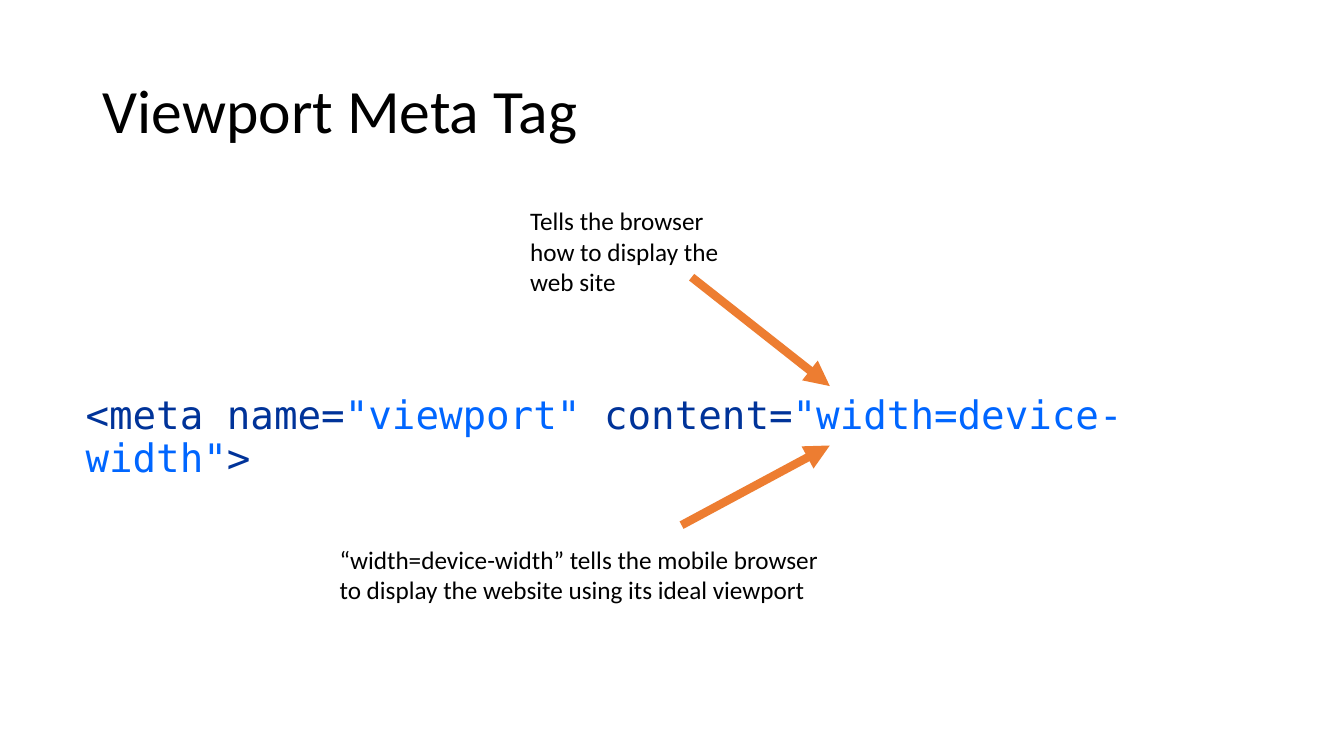
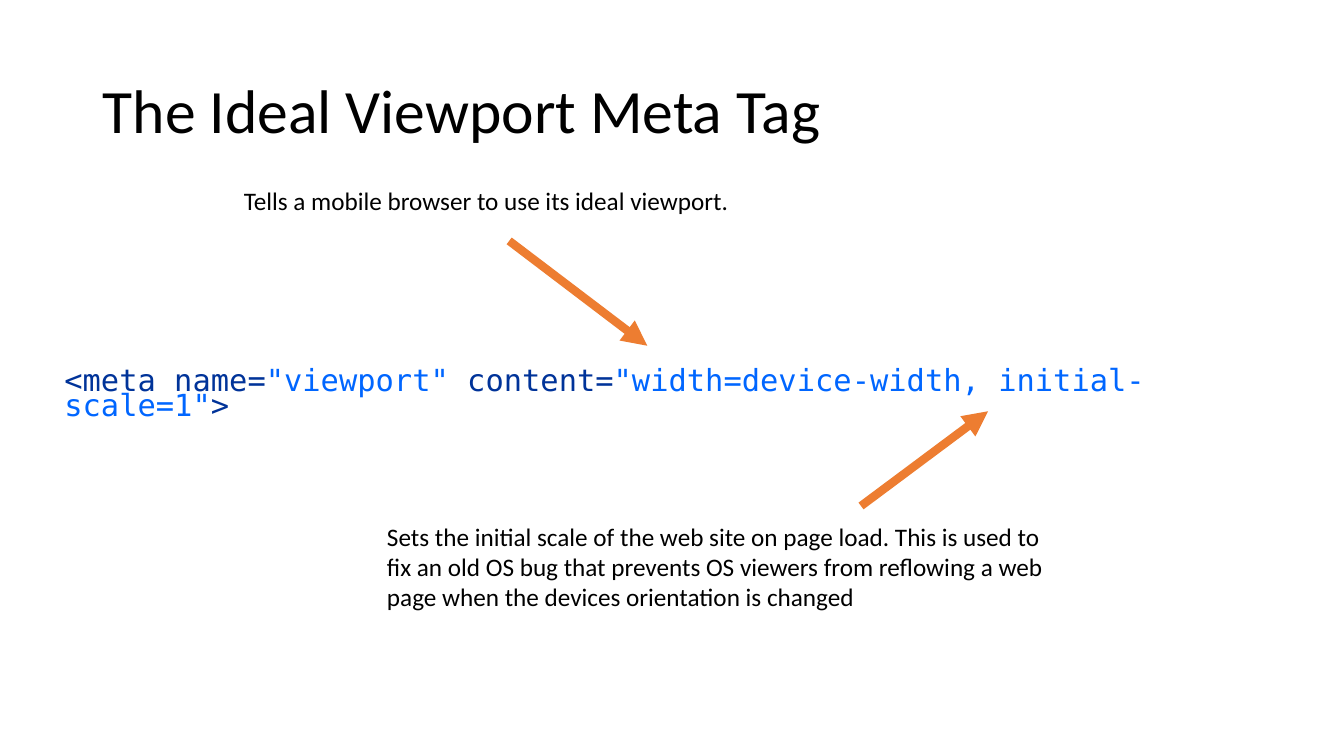
from dataclasses import dataclass

from lxml import etree
from pptx import Presentation
from pptx.dml.color import RGBColor
from pptx.enum.shapes import MSO_CONNECTOR
from pptx.enum.text import MSO_ANCHOR, MSO_AUTO_SIZE, PP_ALIGN
from pptx.oxml.ns import qn
from pptx.util import Emu, Pt

PX = 9144  # 100 px to the inch
STRAIGHT = MSO_CONNECTOR.STRAIGHT
TOP, MIDDLE = MSO_ANCHOR.TOP, MSO_ANCHOR.MIDDLE
FIXED, GROW = MSO_AUTO_SIZE.NONE, MSO_AUTO_SIZE.SHAPE_TO_FIT_TEXT
LEFT = PP_ALIGN.LEFT
TITLE_ONLY = 5


@dataclass(frozen=True)
class Theme:
    body_font: str = "Calibri"
    code_font: str = "DejaVu Sans Mono"
    ink: str = "000000"
    markup: str = "003399"
    value: str = "0066FF"
    arrow: str = "ED7D31"
    title_size: float = 44
    caption_size: float = 18
    arrow_width: float = 6


def px(*lengths):
    return [Emu(length * PX) for length in lengths]


def set_values(target, values):
    for name, value in values.items():
        setattr(target, name, value)


class Slides:
    def __init__(self, theme):
        self.theme = theme
        self.deck = Presentation()
        self.deck.slide_width, self.deck.slide_height = px(1333, 750)
        self.page = None

    def set_text(self, box, spans, size, font, anchor=TOP, fit=FIXED, spacing=1.0):
        """Fill a box with one paragraph made of (text, colour) spans."""
        frame = box.text_frame
        set_values(frame, {"word_wrap": True, "auto_size": fit, "vertical_anchor": anchor})
        para = frame.paragraphs[0]
        set_values(para, {"alignment": LEFT, "line_spacing": spacing})
        for text, colour in spans:
            span = para.add_run()
            span.text = text
            set_values(span.font, {"name": font, "size": Pt(size)})
            span.font.color.rgb = RGBColor.from_string(colour)

    def new_page(self, title):
        self.page = self.deck.slides.add_slide(self.deck.slide_layouts[TITLE_ONLY])
        box = self.page.shapes.title
        set_values(box, dict(zip(("left", "top", "width", "height"), px(92, 40, 1150, 145))))
        self.set_text(box, [(title, self.theme.ink)], self.theme.title_size,
                      self.theme.body_font, anchor=MIDDLE, spacing=0.9)

    def caption(self, place, text):
        box = self.page.shapes.add_textbox(*px(*place))
        self.set_text(box, [(text, self.theme.ink)], self.theme.caption_size,
                      self.theme.body_font, fit=GROW)

    def meta_tag(self, place, content, size, spacing):
        """Show a viewport meta tag with its attribute values highlighted."""
        markup, value = self.theme.markup, self.theme.value
        spans = [("<meta name=", markup), ('"viewport" ', value),
                 ("content=", markup), (f'"{content}"', value), (">", markup)]
        box = self.page.shapes.add_textbox(*px(*place))
        self.set_text(box, spans, size, self.theme.code_font, spacing=spacing)

    def arrow(self, start, end):
        connector = self.page.shapes.add_connector(STRAIGHT, *px(*start, *end))
        connector.line.width = Pt(self.theme.arrow_width)
        connector.line.color.rgb = RGBColor.from_string(self.theme.arrow)
        properties = connector.element.spPr
        etree.SubElement(properties.find(qn("a:ln")), qn("a:tailEnd"), type="triangle")
        etree.SubElement(properties, qn("a:effectLst"))


def main():
    slides = Slides(Theme())

    slides.new_page("Viewport Meta Tag")
    slides.meta_tag((75, 388, 1132, 108), "width=device-width", 28, 0.9)
    slides.caption((516, 199, 226, 101), "Tells the browser how to display the web site")
    slides.caption((327, 535, 510, 71),
                   "“width=device-width” tells the mobile browser to display "
                   "the website using its ideal viewport")
    slides.arrow((686, 275), (823, 383))
    slides.arrow((676, 521), (823, 442))

    slides.new_page("The Ideal Viewport Meta Tag")
    slides.meta_tag((54, 363, 1215, 47), "width=device-width, initial-scale=1", 21.7, 0.7)
    slides.caption((232, 179, 564, 40), "Tells a mobile browser to use its ideal viewport.")
    slides.caption((374, 512, 680, 101),
                   "Sets the initial scale of the web site on page load. This is used to "
                   "fix an old OS bug that prevents OS viewers from reflowing a web page "
                   "when the devices orientation is changed")
    slides.arrow((505, 239), (642, 343))
    slides.arrow((854, 502), (980, 408))

    slides.deck.save("out.pptx")


if __name__ == "__main__":
    main()
